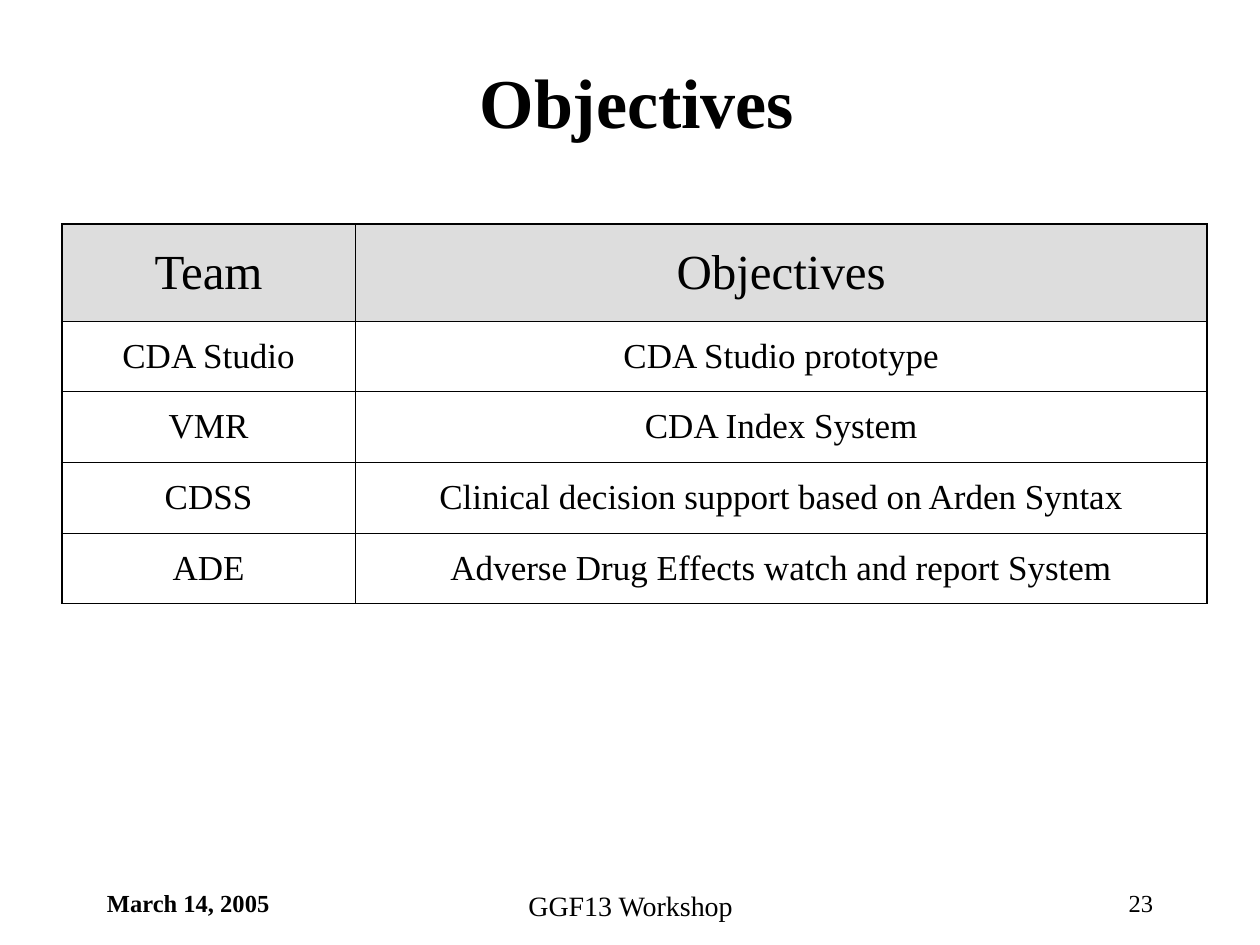
from dataclasses import dataclass

import pptx
import pptx.dml.color
import pptx.enum.text
import pptx.oxml
import pptx.oxml.ns
import pptx.util
from pptx.util import Inches

ALIGN = pptx.enum.text.PP_ALIGN
ANCHOR = pptx.enum.text.MSO_ANCHOR
FONT = "Times New Roman"
BLACK = "000000"
HEADER_FILL = "DDDDDD"
OUTER_WIDTH = 1.08
INNER_WIDTH = 0.45


@dataclass
class Label:
    text: str
    left: float
    top: float
    width: float
    height: float
    size: int
    align: ALIGN
    bold: bool = False
    anchor: ANCHOR = ANCHOR.TOP


LABELS = [
    Label("Objectives", 0.9, 0.6, 8.31, 0.39, 40, ALIGN.CENTER, True, ANCHOR.MIDDLE),
    Label("GGF13 Workshop", 3.42, 7, 3.17, 0.5, 16, ALIGN.CENTER),
    Label("23", 7.17, 7, 2.08, 0.5, 14, ALIGN.RIGHT),
    Label("March 14, 2005", 0.75, 7, 2.08, 0.5, 14, ALIGN.LEFT, True),
]

ROWS = [
    ("Team", "Objectives"),
    ("CDA Studio", "CDA Studio prototype"),
    ("VMR", "CDA Index System"),
    ("CDSS", "Clinical decision support based on Arden Syntax"),
    ("ADE", "Adverse Drug Effects watch and report System"),
]
COLUMN_WIDTHS = [2.33, 6.76]
ROW_HEIGHTS = [0.77] + [0.56] * 4


def color(value: str) -> pptx.dml.color.RGBColor:
    return pptx.dml.color.RGBColor.from_string(value)


def write_text(text_frame, text: str, size: int, align: ALIGN, bold: bool = False) -> None:
    text_frame.text = text
    paragraph = text_frame.paragraphs[0]
    paragraph.alignment = align
    font = paragraph.runs[0].font
    font.name = FONT
    font.size = pptx.util.Pt(size)
    font.bold = bold
    font.color.rgb = color(BLACK)


def add_label(slide, label: Label) -> None:
    shape = slide.shapes.add_textbox(
        Inches(label.left), Inches(label.top), Inches(label.width), Inches(label.height)
    )
    text_frame = shape.text_frame
    text_frame.word_wrap = True
    text_frame.vertical_anchor = label.anchor
    write_text(text_frame, label.text, label.size, label.align, label.bold)


def add_border(cell, side: str, is_outer: bool) -> None:
    width = pptx.util.Pt(OUTER_WIDTH if is_outer else INNER_WIDTH)
    namespace = pptx.oxml.ns.nsdecls("a")
    border = pptx.oxml.parse_xml(
        f'<a:ln{side} {namespace} w="{width}"><a:solidFill>'
        f'<a:srgbClr val="{BLACK}"/></a:solidFill></a:ln{side}>'
    )
    cell._tc.get_or_add_tcPr().append(border)


def add_objectives_table(slide) -> None:
    last_row, last_column = len(ROWS) - 1, len(COLUMN_WIDTHS) - 1
    table = slide.shapes.add_table(
        len(ROWS),
        len(COLUMN_WIDTHS),
        Inches(0.49),
        Inches(1.78),
        Inches(sum(COLUMN_WIDTHS)),
        Inches(sum(ROW_HEIGHTS)),
    ).table
    table.first_row = False
    table.horz_banding = False
    for column, width in zip(table.columns, COLUMN_WIDTHS):
        column.width = Inches(width)
    for row, height in zip(table.rows, ROW_HEIGHTS):
        row.height = Inches(height)

    for row_index, texts in enumerate(ROWS):
        is_header = row_index == 0
        for column_index, text in enumerate(texts):
            cell = table.cell(row_index, column_index)
            cell.vertical_anchor = ANCHOR.MIDDLE
            write_text(cell.text_frame, text, 28 if is_header else 20, ALIGN.CENTER)
            add_border(cell, "L", column_index == 0)
            add_border(cell, "R", column_index == last_column)
            add_border(cell, "T", is_header)
            add_border(cell, "B", row_index == last_row)
            if is_header:
                cell.fill.solid()
                cell.fill.fore_color.rgb = color(HEADER_FILL)
            else:
                cell.fill.background()


def main() -> None:
    presentation = pptx.Presentation()
    presentation.slide_width = Inches(10)
    presentation.slide_height = Inches(7.5)
    slide = presentation.slides.add_slide(presentation.slide_layouts[6])
    add_objectives_table(slide)
    for label in LABELS:
        add_label(slide, label)
    presentation.save("out.pptx")


if __name__ == "__main__":
    main()
